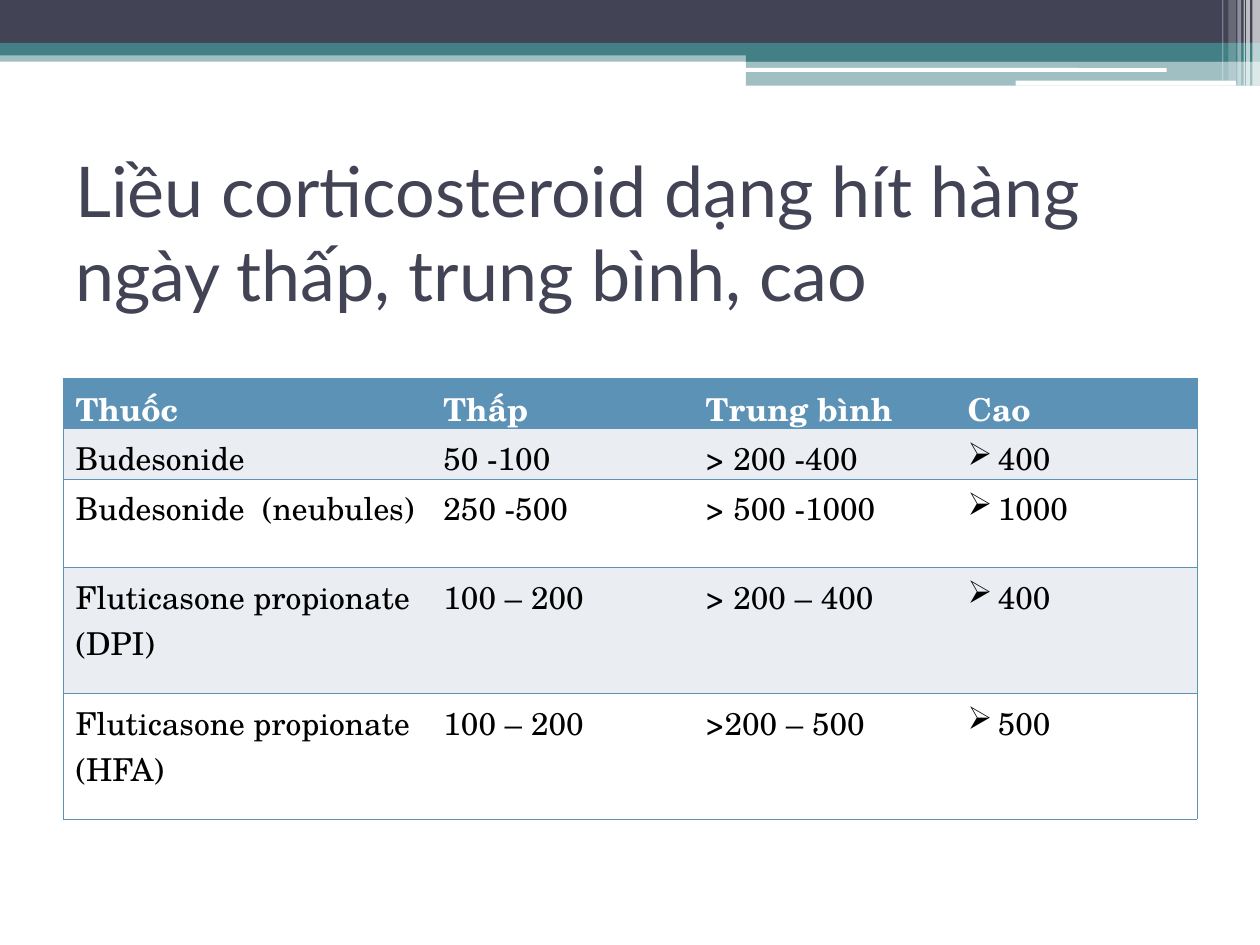
from typing import NamedTuple

from lxml import etree
from pptx import Presentation
from pptx import util as u
from pptx.dml.color import RGBColor
from pptx.enum import shapes, text
from pptx.oxml import ns

NAVY, TEAL, BLUE, PALE = "424456", "438086", "5C92B5", "EAEEF3"
WHITE, BLACK = "FFFFFF", "000000"
TITLE_FONT, TABLE_FONT = "Lato", "TeX Gyre Schola"
BULLET_INDENT = u.Inches(0.24)


class Band(NamedTuple):
    left: float
    top: float
    width: float
    height: float
    color: str
    opacity: int = 100
    rounded: bool = False


BANDS = [
    Band(0, 0.4, 10, 0.09, TEAL, 50),
    Band(0, 0, 10, 0.34, NAVY),
    Band(0, 0.34, 10, 0.1, TEAL),
    Band(5.92, 0.39, 4.08, 0.1, TEAL),
    Band(5.92, 0.48, 4.08, 0.2, TEAL, 50),
    Band(5.91, 0.54, 3.35, 0.03, WHITE, rounded=True),
    Band(8.06, 0.64, 1.75, 0.04, WHITE, rounded=True),
    Band(9.94, 0, 0.06, 0.68, WHITE, 65),
    Band(9.89, 0, 0.03, 0.68, WHITE, 65),
    Band(9.87, 0, 0.01, 0.68, WHITE, 60),
    Band(9.82, 0, 0.03, 0.68, WHITE, 40),
    Band(9.75, 0, 0.06, 0.64, WHITE, 20),
    Band(9.7, 0, 0.01, 0.64, WHITE, 30),
]

COLUMN_WIDTHS = [2.92, 2.08, 2.08, 1.92]
ROW_HEIGHTS = [0.4, 0.4, 0.7, 1, 1]
DOSES = [
    ["Thuốc", "Thấp", "Trung bình", "Cao"],
    ["Budesonide", "50 -100", "> 200 -400", "400"],
    ["Budesonide  (neubules)", "250 -500", "> 500 -1000", "1000"],
    ["Fluticasone propionate\n(DPI)", "100 – 200", "> 200 – 400", "400"],
    ["Fluticasone propionate\n(HFA)", "100 – 200", ">200 – 500", "500"],
]


def set_fill(fill, color: str) -> None:
    fill.solid()
    fill.fore_color.rgb = RGBColor.from_string(color)


def add_element(parent, tag: str, **attributes: str):
    return etree.SubElement(parent, ns.qn(tag), attributes)


def style_font(paragraph, name: str, size: float, color: str, bold: bool = False) -> None:
    for run in paragraph.runs:
        run.font.name = name
        run.font.size = u.Pt(size)
        run.font.bold = bold
        run.font.color.rgb = RGBColor.from_string(color)


def add_band(slide, band: Band) -> None:
    kind = shapes.MSO_SHAPE.ROUNDED_RECTANGLE if band.rounded else shapes.MSO_SHAPE.RECTANGLE
    shape = slide.shapes.add_shape(
        kind, u.Inches(band.left), u.Inches(band.top), u.Inches(band.width), u.Inches(band.height)
    )
    shape.shadow.inherit = False
    shape.line.fill.background()
    set_fill(shape.fill, band.color)
    if band.opacity < 100:
        color = shape.fill._xPr.find(".//" + ns.qn("a:srgbClr"))
        add_element(color, "a:alpha", val=str(band.opacity * 1000))


def add_title(slide, title: str) -> None:
    shape = slide.shapes.add_textbox(u.Inches(0.5), u.Inches(1.25), u.Inches(9), u.Inches(1.17))
    text_frame = shape.text_frame
    text_frame.word_wrap = True
    text_frame.vertical_anchor = text.MSO_ANCHOR.MIDDLE
    text_frame.text = title
    style_font(text_frame.paragraphs[0], TITLE_FONT, 40, NAVY)


def set_borders(cell, visible_sides: str) -> None:
    """Draw the named sides (letters of LRTB) and clear the others."""
    properties = cell._tc.get_or_add_tcPr()
    for side in "LRTB":
        line = add_element(properties, f"a:ln{side}", w=str(u.Pt(0.45)))
        if side in visible_sides:
            fill = add_element(line, "a:solidFill")
            add_element(fill, "a:srgbClr", val=BLUE)
        else:
            add_element(line, "a:noFill")


def add_arrow_bullet(paragraph) -> None:
    properties = paragraph._p.get_or_add_pPr()
    properties.set("marL", str(BULLET_INDENT))
    properties.set("indent", str(-BULLET_INDENT))
    color = add_element(properties, "a:buClr")
    add_element(color, "a:srgbClr", val=BLACK)
    add_element(properties, "a:buChar", char="➢")


def add_dose_table(slide) -> None:
    table = slide.shapes.add_table(
        len(DOSES), len(COLUMN_WIDTHS), u.Inches(0.5), u.Inches(3),
        u.Inches(sum(COLUMN_WIDTHS)), u.Inches(sum(ROW_HEIGHTS)),
    ).table
    table.horz_banding = False
    for column, width in zip(table.columns, COLUMN_WIDTHS):
        column.width = u.Inches(width)
    for row, height in zip(table.rows, ROW_HEIGHTS):
        row.height = u.Inches(height)

    last_column = len(COLUMN_WIDTHS) - 1
    for row_index, values in enumerate(DOSES):
        is_header = row_index == 0
        row_fill = BLUE if is_header else PALE if row_index % 2 else WHITE
        for column_index, value in enumerate(values):
            cell = table.cell(row_index, column_index)
            cell.text_frame.text = value
            outer_side = {0: "L", last_column: "R"}.get(column_index, "")
            set_borders(cell, "TB" + outer_side)
            set_fill(cell.fill, row_fill)
            for paragraph in cell.text_frame.paragraphs:
                if column_index == last_column and not is_header:
                    add_arrow_bullet(paragraph)
                style_font(paragraph, TABLE_FONT, 18, WHITE if is_header else BLACK, is_header)


def main() -> None:
    presentation = Presentation()
    presentation.slide_width = u.Inches(10)
    presentation.slide_height = u.Inches(7.5)
    slide = presentation.slides.add_slide(presentation.slide_layouts[6])
    for band in BANDS:
        add_band(slide, band)
    add_title(slide, "Liều corticosteroid dạng hít hàng ngày thấp, trung bình, cao")
    add_dose_table(slide)
    presentation.save("out.pptx")


if __name__ == "__main__":
    main()
